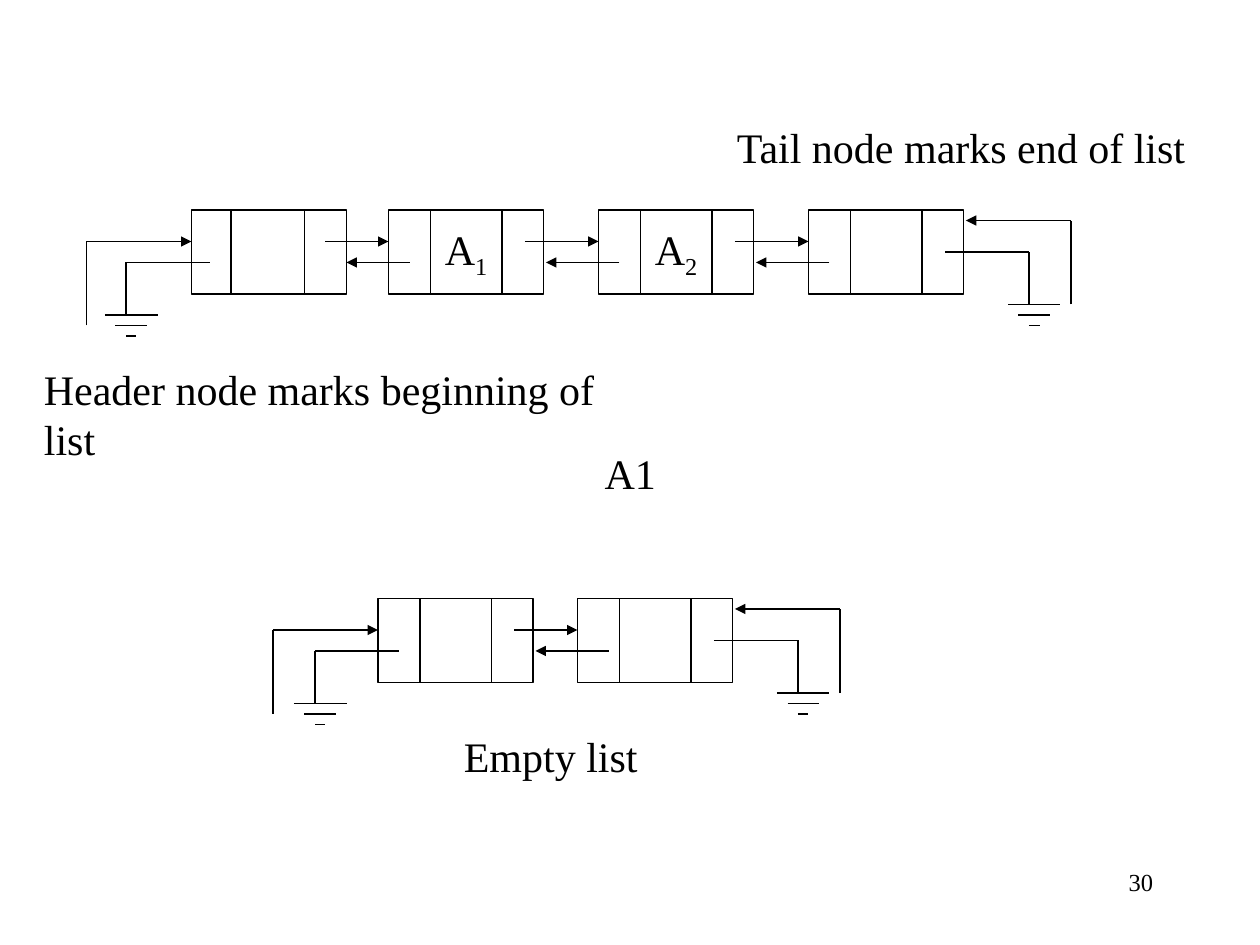
from pptx import Presentation
from pptx import util as u
from pptx.dml.color import RGBColor
from pptx.enum import shapes, text
from pptx.oxml import ns
from lxml import etree

Pt = u.Pt
HUES = {"ink": "000000"}
INK = RGBColor.from_string(HUES["ink"])
FONT = "Times New Roman"

deck = Presentation()
deck.slide_width, deck.slide_height = Pt(720), Pt(540)
slide = deck.slides.add_slide(deck.slide_layouts[6])


def link(x1, y1, x2, y2, arrow=False):
    """Draw a thin line, with an arrowhead at its end if asked."""
    line = slide.shapes.add_connector(
        shapes.MSO_CONNECTOR.STRAIGHT, Pt(x1), Pt(y1), Pt(x2), Pt(y2))
    line.line.color.rgb = INK
    line.line.width = Pt(0.75)
    if arrow:
        etree.SubElement(line.line._get_or_add_ln(), ns.qn("a:tailEnd"),
                         type="triangle")
    etree.SubElement(line._element.spPr, ns.qn("a:effectLst"))


def write(frame, words, size=24, low=""):
    """Fill a text frame with a run and an optional subscript run."""
    frame.word_wrap = False
    para = frame.paragraphs[0]
    for part in filter(None, (words, low)):
        run = para.add_run()
        run.text = part
        run.font.name, run.font.size = FONT, Pt(size)
        run.font.color.rgb = INK
    if low:
        run.font._element.set("baseline", "-25000")
    return para


# Each list: top edge, then the left edge and subscript of every node
LISTS = [
    (120, [(109.4, ""), (222, "1"), (342, "2"), (462, "")]),
    (342, [(216, ""), (330, "")]),
]
WIDE, HIGH, GRID = 88.6, 48, 6

for top, nodes in LISTS:
    for i, (left, low) in enumerate(nodes):
        slot = left // GRID * GRID
        node = slide.shapes.add_shape(
            shapes.MSO_SHAPE.RECTANGLE, Pt(left), Pt(top), Pt(WIDE), Pt(HIGH))
        node.shadow.inherit = False
        node.fill.background()
        node.line.color.rgb = INK
        node.line.width = Pt(0.75)
        if low:
            node.text_frame.vertical_anchor = text.MSO_ANCHOR.MIDDLE
            para = write(node.text_frame, "A", low=low)
            para.alignment = text.PP_ALIGN.CENTER
        for x in (slot + 24, left + 64.8):
            link(x, top, x, top + HIGH)
        if i + 1 < len(nodes):
            after = nodes[i + 1][0]
            back = 18 if len(nodes) == 2 else 12
            link(slot + 78, top + 18, after, top + 18, True)
            link(after + back, top + 30, slot + 90, top + 30, True)

    # Outside pointers to the header and tail nodes
    head, tail = nodes[0][0], nodes[-1][0]
    link(head - 60, top + 66, head - 60, top + 18)
    link(head - 60, top + 18, head, top + 18, True)
    link(tail + 150, top + 54, tail + 150, top + 6)
    link(tail + 150, top + 6, tail + 90, top + 6, True)

    # Null pointers drawn as ground symbols
    slot = head // GRID * GRID
    for start, x, y in ((slot + 12, slot - 36, top + 30),
                        (tail + 78, tail + 126, top + 24)):
        link(start, y, x, y)
        link(x, y, x, y + 30)
        for step in range(3):
            bar = y + 30 + GRID * step
            link(x - 12 + GRID * step, bar, x + 18 - GRID * step, bar)

LABELS = [
    ("Tail node marks end of list", 414, 66, 272, 24),
    ("Header node marks beginning of list", 18, 204, 364, 24),
    ("A1", 338.4, 252, 44, 24),
    ("Empty list", 258, 414, 114, 24),
    ("30", 546, 492, 120, 14),
]
for words, x, y, wide, size in LABELS:
    box = slide.shapes.add_textbox(Pt(x), Pt(y), Pt(wide), Pt(36))
    para = write(box.text_frame, words, size)
    if words == "30":
        box.text_frame.word_wrap = True
        para.alignment = text.PP_ALIGN.RIGHT

deck.save("out.pptx")
